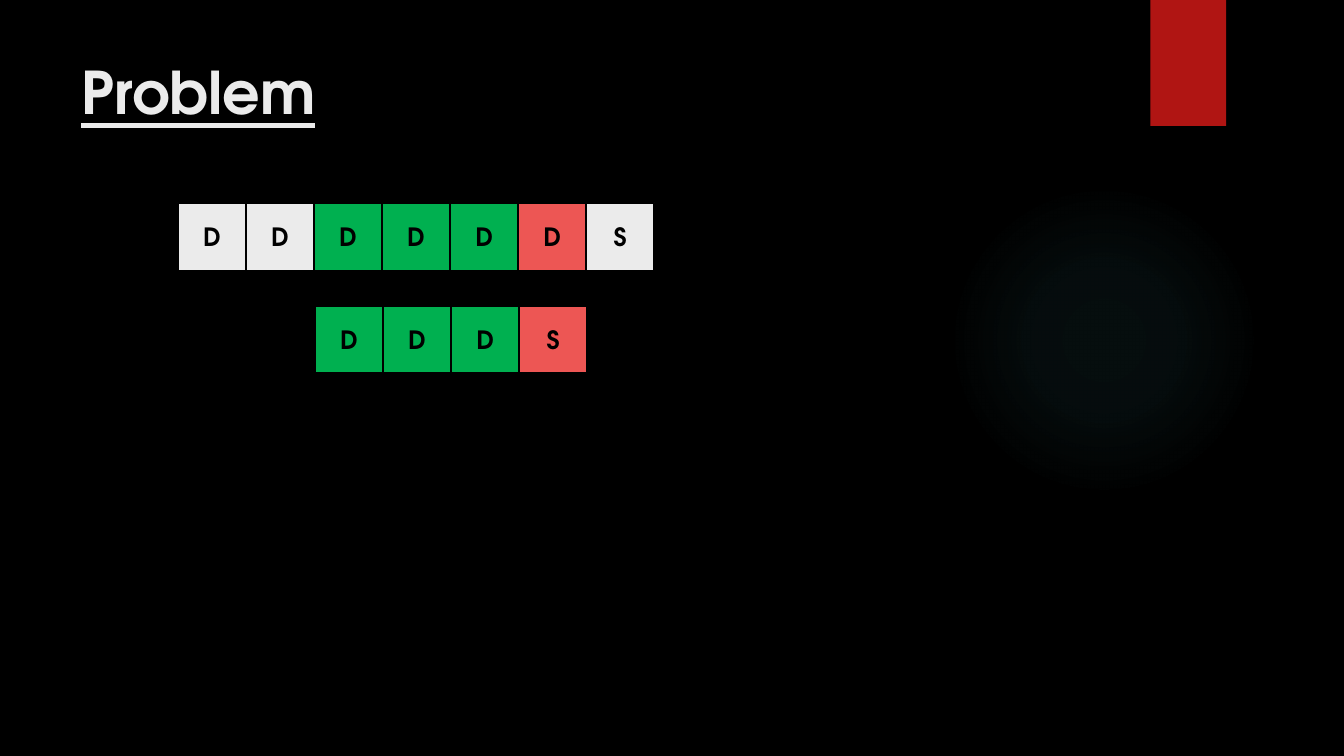
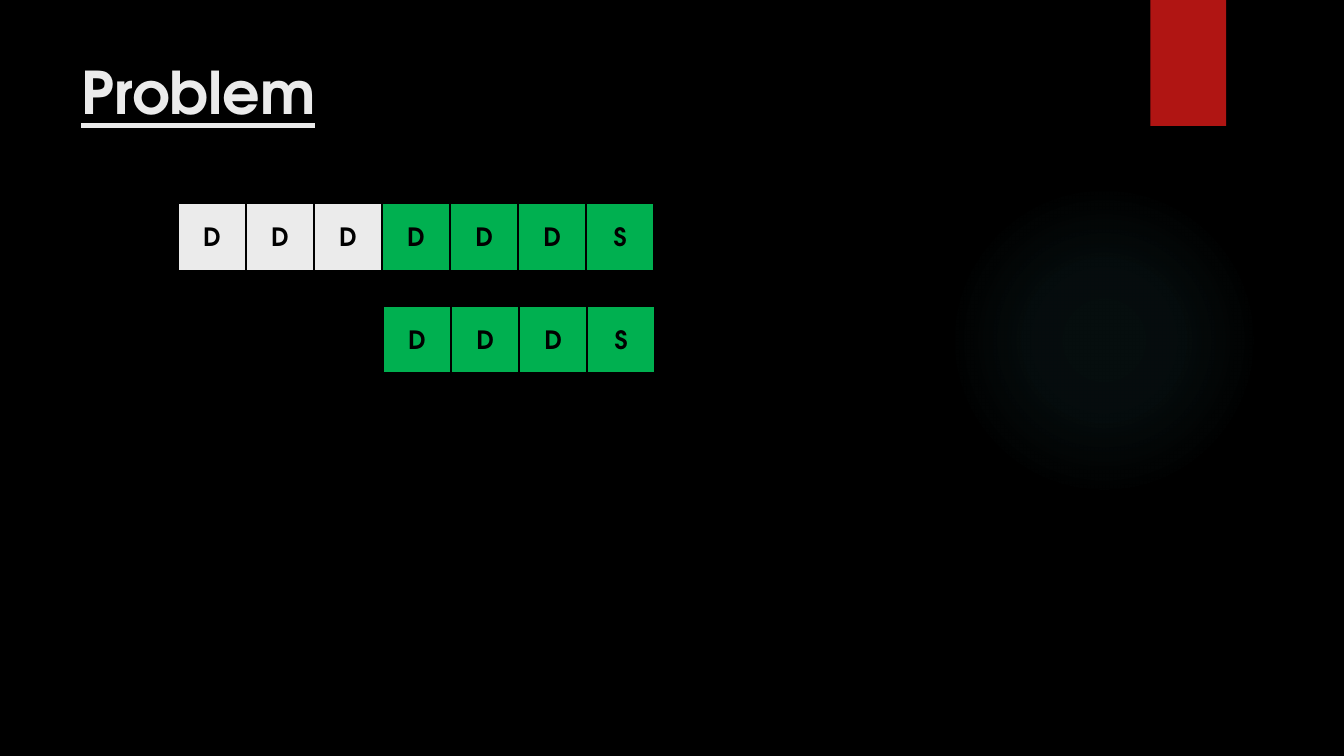
from dataclasses import dataclass

from lxml import etree
from pptx import Presentation
from pptx.dml.color import RGBColor
from pptx.enum.shapes import MSO_SHAPE
from pptx.enum.text import MSO_ANCHOR, MSO_AUTO_SIZE, PP_ALIGN
from pptx.oxml import parse_xml
from pptx.oxml.ns import nsdecls, qn
from pptx.shapes.autoshape import Shape
from pptx.slide import Slide, SlideLayout
from pptx.text.text import _Paragraph
from pptx.util import Pt

FONT = "TeX Gyre Adventor"
BLACK, LIGHT, RED = "000000", "EBEBEB", "B01513"
MATCH, MISMATCH, GLOW = "00B050", "ED5654", "50B9C1"
GLOW_STOPS = ((0, 7), (36, 6), (69, 0))  # position and opacity, percent

# Grid of letter cells
CELL = 48.6
TEXT_LEFT, TEXT_TOP = 127.1, 144.7
PATTERN_LEFT, PATTERN_TOP = 127.8, 218.2


@dataclass(frozen=True)
class Step:
    """A pattern laid under a text, moved right by some cells."""
    title: str
    text: str
    pattern: str
    shift: int

    def color(self, column: int) -> str:
        i = column - self.shift
        if not 0 <= i < len(self.pattern):
            return LIGHT
        return MATCH if self.text[column] == self.pattern[i] else MISMATCH


STEPS = [Step("Problem", "DDDDDDS", "DDDS", shift) for shift in (2, 3)]


def rgb(value: str) -> RGBColor:
    return RGBColor.from_string(value)


def add_run(p: _Paragraph, text: str, size: float, color: str, underline: bool = False) -> None:
    r = p.add_run()
    r.text = text
    r.font.name = FONT
    r.font.size = Pt(size)
    r.font.bold = True
    if underline:
        r.font.underline = True
    r.font.color.rgb = rgb(color)


def add_box(s: Slide, kind: MSO_SHAPE, left: float, top: float,
            width: float, height: float, color: str) -> Shape:
    sp = s.shapes.add_shape(kind, Pt(left), Pt(top), Pt(width), Pt(height))
    sp.shadow.inherit = False
    sp.fill.solid()
    sp.fill.fore_color.rgb = rgb(color)
    sp.line.fill.background()
    return sp


def set_glow(sp: Shape) -> None:
    """Replace the solid fill by a fading radial gradient."""
    grad = parse_xml(
        f'<a:gradFill {nsdecls("a")} rotWithShape="1"><a:gsLst/><a:path path="circle">'
        '<a:fillToRect l="50000" t="50000" r="50000" b="50000"/></a:path></a:gradFill>')
    for position, opacity in GLOW_STOPS:
        gs = etree.SubElement(grad[0], qn("a:gs"), pos=str(position * 1000))
        color = etree.SubElement(gs, qn("a:srgbClr"), val=GLOW)
        etree.SubElement(color, qn("a:alpha"), val=str(opacity * 1000))
    solid = sp.element.spPr.find(qn("a:solidFill"))
    sp.element.spPr.replace(solid, grad)


def style_layout(layout: SlideLayout) -> None:
    title = layout.placeholders[0]
    title.left, title.top, title.width, title.height = Pt(51), Pt(36), Pt(741), Pt(65.5)
    title.text_frame.vertical_anchor = MSO_ANCHOR.TOP
    title.text_frame.auto_size = MSO_AUTO_SIZE.NONE


def add_decor(s: Slide) -> None:
    """Draw the glow and the ribbon, then move them to the shared layout."""
    glow = add_box(s, MSO_SHAPE.OVAL, 677.5, 131.8, 221.8, 221.8, GLOW)
    set_glow(glow)
    ribbon = add_box(s, MSO_SHAPE.RECTANGLE, 821.8, 0, 54, 90, RED)
    for number, sp in enumerate((glow, ribbon), start=101):
        sp.element.nvSpPr.cNvPr.set("id", str(number))
        s.slide_layout.shapes.element.append(sp.element)


def add_cell(s: Slide, letter: str, left: float, top: float, color: str) -> None:
    sp = add_box(s, MSO_SHAPE.RECTANGLE, left, top, CELL, CELL, color)
    sp.line.color.rgb = rgb(BLACK)
    sp.line.width = Pt(1.5)
    tf = sp.text_frame
    tf.vertical_anchor = MSO_ANCHOR.MIDDLE
    p = tf.paragraphs[0]
    p.alignment = PP_ALIGN.CENTER
    add_run(p, letter, 18, BLACK)


def add_row(s: Slide, step: Step, letters: str, first: int, left: float, top: float) -> None:
    for column, letter in enumerate(letters, start=first):
        add_cell(s, letter, left + column * CELL, top, step.color(column))


def add_step(s: Slide, step: Step) -> None:
    p = s.shapes.title.text_frame.paragraphs[0]
    p.alignment = PP_ALIGN.LEFT
    add_run(p, step.title, 42, LIGHT, underline=True)
    add_row(s, step, step.text, 0, TEXT_LEFT, TEXT_TOP)
    add_row(s, step, step.pattern, step.shift, PATTERN_LEFT, PATTERN_TOP)


def main() -> None:
    prs = Presentation()
    prs.slide_width, prs.slide_height = Pt(960), Pt(540)

    # Shared look
    background = prs.slide_master.background.fill
    background.solid()
    background.fore_color.rgb = rgb(BLACK)
    layout = prs.slide_layouts[5]
    style_layout(layout)

    # Slides
    slides = [prs.slides.add_slide(layout) for _ in STEPS]
    add_decor(slides[0])
    for s, step in zip(slides, STEPS):
        add_step(s, step)

    prs.save("out.pptx")


if __name__ == "__main__":
    main()
